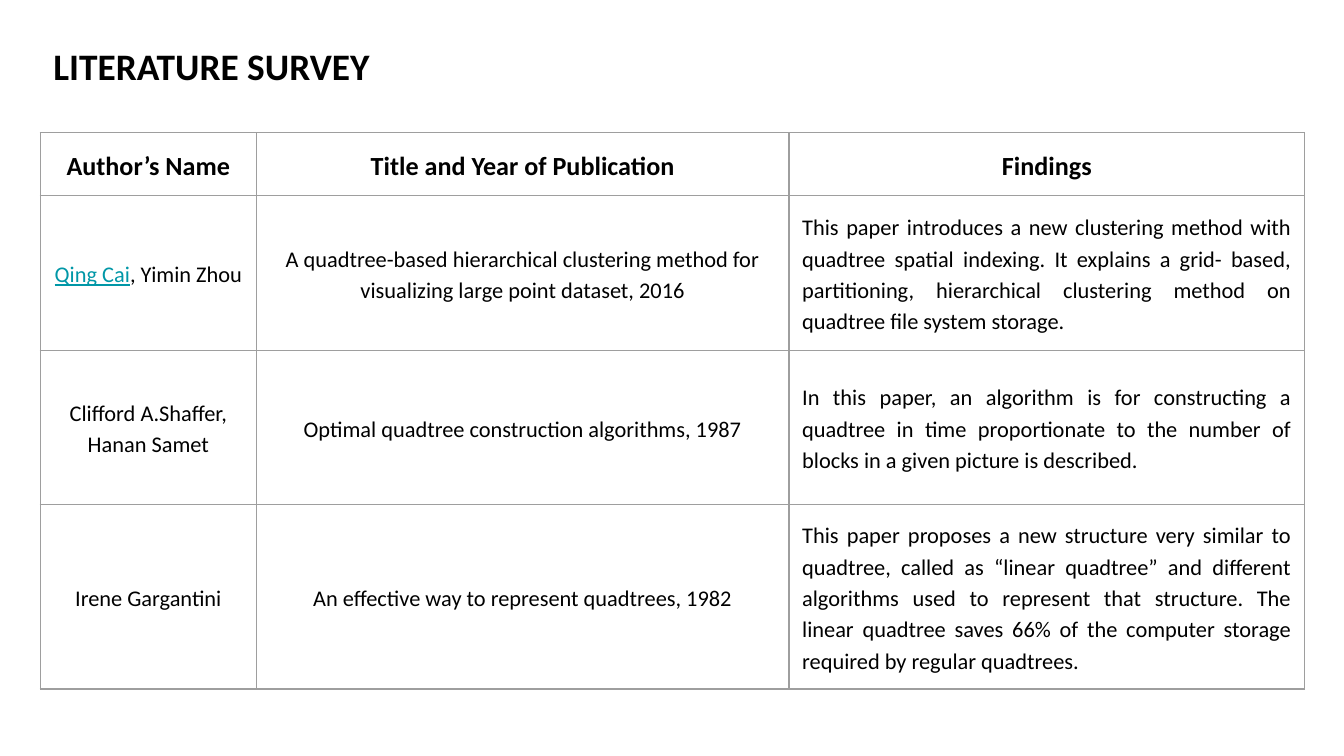
from dataclasses import dataclass

from lxml import etree
from pptx import Presentation
from pptx.dml.color import RGBColor
from pptx.enum import text
from pptx.oxml import ns
from pptx.util import Cm, Pt


@dataclass(frozen=True)
class Theme:
    font: str = "Calibri"
    ink: str = "000000"
    accent: str = "0097A7"
    paper: str = "FFFFFF"
    border: str = "9E9E9E"
    border_width: float = 0.75
    title_size: int = 20
    header_size: int = 14
    body_size: int = 12
    line_spacing: float = 1.15
    inset: float = 0.25


@dataclass(frozen=True)
class Study:
    authors: str
    title: str
    findings: str
    underlined: str = ""  # leading part of the authors shown in the accent colour


THEME = Theme()
LEFT = 0.76
COLUMN_WIDTHS = (4.09, 10.06, 9.75)
ROW_HEIGHTS = (1.19, 2.92, 2.92, 3.48)
HEADERS = ("Author’s Name", "Title and Year of Publication", "Findings")
STUDIES = (
    Study(
        ", Yimin Zhou",
        "A quadtree-based hierarchical clustering method for visualizing large point dataset, 2016",
        "This paper introduces a new clustering method with quadtree spatial indexing. "
        "It explains a grid- based, partitioning, hierarchical clustering method on "
        "quadtree file system storage. ",
        underlined="Qing Cai",
    ),
    Study(
        "Clifford A.Shaffer, Hanan Samet",
        "Optimal quadtree construction algorithms, 1987",
        "In this paper, an algorithm is for constructing a quadtree in time proportionate "
        "to the number of blocks in a given picture is described. ",
    ),
    Study(
        "Irene Gargantini",
        "An effective way to represent quadtrees, 1982",
        "This paper proposes a new structure very similar to quadtree, called as "
        "“linear quadtree” and different algorithms used to represent that structure. "
        "The linear quadtree saves 66% of the computer storage required by regular quadtrees.",
    ),
)


def style_paragraph(para, size: int, align, bold: bool = False) -> None:
    para.alignment = align
    para.font.name = THEME.font
    para.font.size = Pt(size)
    para.font.bold = bold
    para.font.color.rgb = RGBColor.from_string(THEME.ink)


def set_insets(holder) -> None:
    for side in ("left", "top", "right", "bottom"):
        setattr(holder, f"margin_{side}", Cm(THEME.inset))


def add_borders(cell) -> None:
    properties = cell._tc.get_or_add_tcPr()
    for side in ("lnL", "lnR", "lnT", "lnB"):
        line = etree.SubElement(properties, ns.qn(f"a:{side}"), w=str(Pt(THEME.border_width)))
        fill = etree.SubElement(line, ns.qn("a:solidFill"))
        etree.SubElement(fill, ns.qn("a:srgbClr"), val=THEME.border)


def fill_cell(cell, words: str, size: int, align, bold: bool = False,
              underlined: str = "") -> None:
    add_borders(cell)
    cell.fill.solid()
    cell.fill.fore_color.rgb = RGBColor.from_string(THEME.paper)
    cell.vertical_anchor = text.MSO_ANCHOR.MIDDLE
    set_insets(cell)
    para = cell.text_frame.paragraphs[0]
    style_paragraph(para, size, align, bold)
    para.line_spacing = THEME.line_spacing
    if underlined:
        span = para.add_run()
        span.text = underlined
        span.font.underline = True
        span.font.color.rgb = RGBColor.from_string(THEME.accent)
    para.add_run().text = words


def add_survey_table(page) -> None:
    table = page.shapes.add_table(
        len(ROW_HEIGHTS), len(COLUMN_WIDTHS), Cm(LEFT), Cm(2.51),
        Cm(sum(COLUMN_WIDTHS)), Cm(sum(ROW_HEIGHTS)),
    ).table
    table.first_row = table.horz_banding = False
    for column, width in zip(table.columns, COLUMN_WIDTHS):
        column.width = Cm(width)
    for row, height in zip(table.rows, ROW_HEIGHTS):
        row.height = Cm(height)

    center, justify = text.PP_ALIGN.CENTER, text.PP_ALIGN.JUSTIFY
    for index, header in enumerate(HEADERS):
        fill_cell(table.cell(0, index), header, THEME.header_size, center, bold=True)
    for index, study in enumerate(STUDIES, start=1):
        size = THEME.body_size
        fill_cell(table.cell(index, 0), study.authors, size, center,
                  underlined=study.underlined)
        fill_cell(table.cell(index, 1), study.title, size, center)
        fill_cell(table.cell(index, 2), study.findings, size, justify)


def add_title(page, words: str) -> None:
    box = page.shapes.add_textbox(Cm(LEFT), Cm(0.56), Cm(sum(COLUMN_WIDTHS)), Cm(1.37))
    frame = box.text_frame
    frame.word_wrap = True
    frame.auto_size = text.MSO_AUTO_SIZE.SHAPE_TO_FIT_TEXT
    set_insets(frame)
    para = frame.paragraphs[0]
    para.add_run().text = words
    style_paragraph(para, THEME.title_size, text.PP_ALIGN.JUSTIFY, bold=True)


def main() -> None:
    # Deck and blank page
    deck = Presentation()
    deck.slide_width, deck.slide_height = Cm(25.4), Cm(14.29)
    page = deck.slides.add_slide(deck.slide_layouts[6])

    # Survey table and heading
    add_survey_table(page)
    add_title(page, "LITERATURE SURVEY")

    deck.save("out.pptx")


if __name__ == "__main__":
    main()
